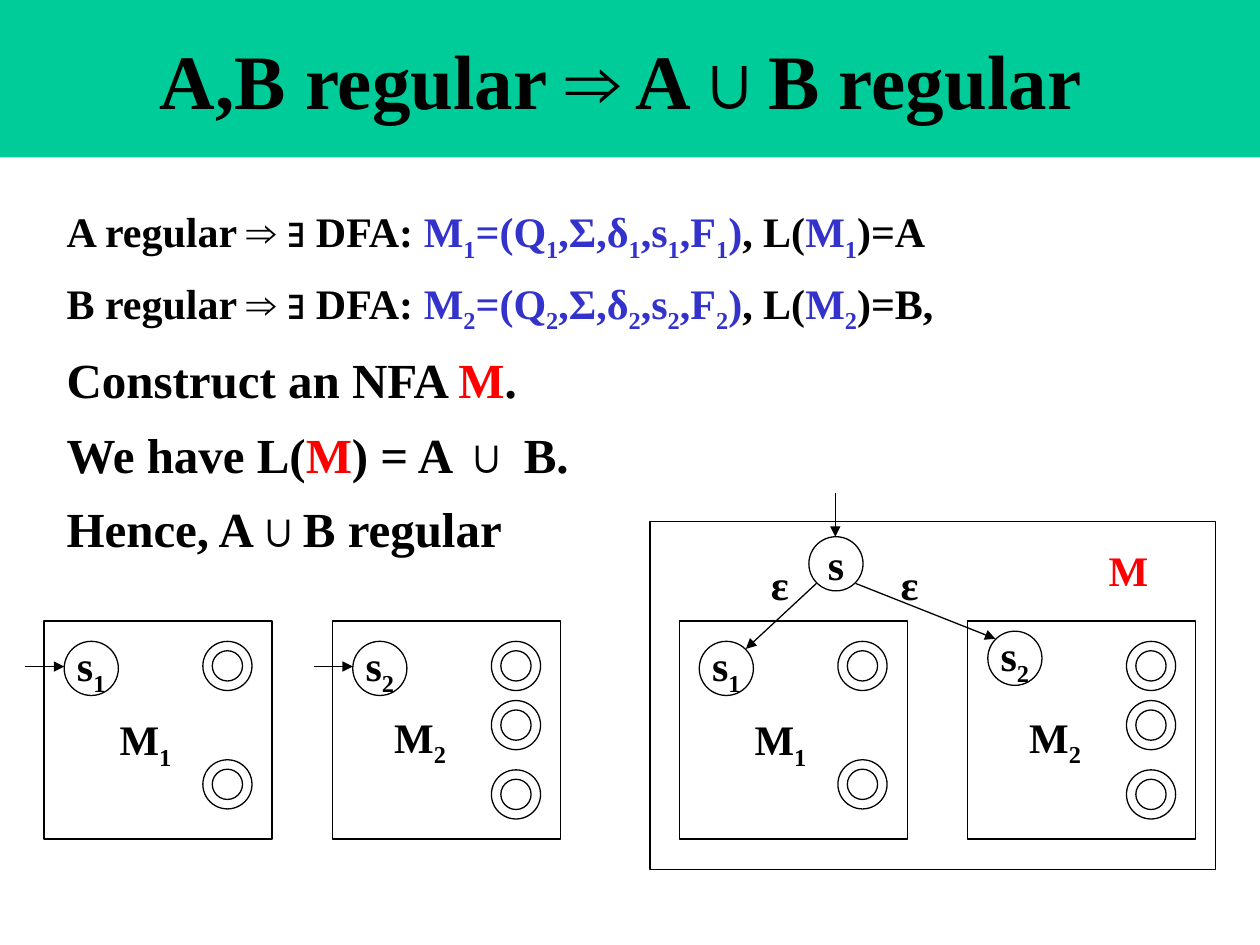
import lxml.etree
import pptx
import pptx.dml.color
import pptx.enum.shapes
import pptx.enum.text
import pptx.oxml.ns
import pptx.util

Inches = pptx.util.Inches
RGBColor = pptx.dml.color.RGBColor
Shape = pptx.enum.shapes.MSO_SHAPE
Align = pptx.enum.text.PP_ALIGN
Anchor = pptx.enum.text.MSO_ANCHOR
qn = pptx.oxml.ns.qn

BLACK = RGBColor(0x00, 0x00, 0x00)
GREEN = RGBColor(0x00, 0xCC, 0x99)
BLUE = RGBColor(0x33, 0x33, 0xCC)
RED = RGBColor(0xFF, 0x00, 0x00)

BOX_TOP, BOX_WIDTH, BOX_HEIGHT = 4.93, 1.81, 1.73
STATE_SIZE, RING_SIZE, CORE_SIZE = 0.43, 0.39, 0.24
STATE_TOP = 5.09
ACCEPT_TOPS = {1: (6.03, 5.09), 2: (5.56, 6.11, 5.09)}
LABEL_PLACES = {1: (0.5, 5.57), 2: (0.39, 5.55)}


class Diagram:
    """Holds the style, the slide and the shape collection being drawn into."""

    font_format = {"name": "Times New Roman", "bold": True}
    line_width = pptx.util.Pt(0.75)

    def __init__(self, slide):
        self.slide = slide
        self.shapes = slide.shapes

    def start_group(self):
        self.shapes = self.slide.shapes.add_group_shape().shapes

    def add_runs(self, paragraph, runs, size):
        """Add (text, colour) runs; the character after each _ is a subscript."""
        for text, color in runs:
            first, *rest = text.split("_")
            pieces = [(first, False)]
            for part in rest:
                pieces += [(part[0], True), (part[1:], False)]
            for piece, is_subscript in pieces:
                if not piece:
                    continue
                run = paragraph.add_run()
                run.text = piece
                values = {**self.font_format, "size": pptx.util.Pt(size)}
                for name, value in values.items():
                    setattr(run.font, name, value)
                run.font.color.rgb = color
                if is_subscript:
                    run.font._element.set("baseline", "-25000")

    def space(self, paragraph):
        """Set 110% lines with 10% of a line before and after."""
        paragraph.line_spacing = 1.1
        properties = paragraph._p.get_or_add_pPr()
        for tag in ("a:spcBef", "a:spcAft"):
            spacing = lxml.etree.SubElement(properties, qn(tag))
            lxml.etree.SubElement(spacing, qn("a:spcPct")).set("val", "10000")

    def text(self, left, top, width, height, lines, spaced=True):
        """Add a text box; each line is (size, runs)."""
        box = self.shapes.add_textbox(
            Inches(left), Inches(top), Inches(width), Inches(height))
        frame = box.text_frame
        frame.word_wrap = False
        for index, (size, runs) in enumerate(lines):
            paragraph = frame.add_paragraph() if index else frame.paragraphs[0]
            if spaced:
                self.space(paragraph)
            self.add_runs(paragraph, runs, size)

    def outline(self, kind, left, top, width, height):
        shape = self.shapes.add_shape(
            kind, Inches(left), Inches(top), Inches(width), Inches(height))
        shape.shadow.inherit = False
        shape.fill.background()
        shape.line.color.rgb = BLACK
        shape.line.width = self.line_width
        return shape

    def title(self, text):
        banner = self.outline(Shape.RECTANGLE, 0, 0, 10, 1.25)
        banner.fill.solid()
        banner.fill.fore_color.rgb = GREEN
        banner.line.fill.background()
        banner.text_frame.vertical_anchor = Anchor.MIDDLE
        paragraph = banner.text_frame.paragraphs[0]
        paragraph.alignment = Align.CENTER
        self.add_runs(paragraph, [(text, BLACK)], 44)

    def state(self, left, top, name):
        circle = self.outline(Shape.OVAL, left, top, STATE_SIZE, STATE_SIZE)
        frame_format = {
            "margin_left": 0, "margin_top": 0, "margin_right": 0,
            "margin_bottom": 0, "word_wrap": False,
            "vertical_anchor": Anchor.MIDDLE,
        }
        for attribute, value in frame_format.items():
            setattr(circle.text_frame, attribute, value)
        paragraph = circle.text_frame.paragraphs[0]
        paragraph.alignment = Align.CENTER
        self.add_runs(paragraph, [(name, BLACK)], 24)

    def accepting_state(self, left, top):
        inset = (RING_SIZE - CORE_SIZE) / 2
        self.outline(Shape.OVAL, left + inset, top + inset, CORE_SIZE, CORE_SIZE)
        self.outline(Shape.OVAL, left, top, RING_SIZE, RING_SIZE)

    def arrow(self, *ends):
        """Draw an arrow through start x, start y, end x, end y."""
        connector = self.shapes.add_connector(
            pptx.enum.shapes.MSO_CONNECTOR.STRAIGHT, *map(Inches, ends))
        connector.line.color.rgb = BLACK
        connector.line.width = self.line_width
        line = connector.line._get_or_add_ln()
        lxml.etree.SubElement(line, qn("a:tailEnd")).set("type", "triangle")
        lxml.etree.SubElement(connector._element.spPr, qn("a:effectLst"))

    def machine(self, left, number, state_top=STATE_TOP):
        self.outline(Shape.RECTANGLE, left, BOX_TOP, BOX_WIDTH, BOX_HEIGHT)
        for top in ACCEPT_TOPS[number]:
            self.accepting_state(left + 1.26, top)
        label_offset, label_top = LABEL_PLACES[number]
        self.text(left + label_offset, label_top, 0.68, 0.54,
                  [(24, [(f"M_{number}", BLACK)])])
        self.state(left + 0.16, state_top, f"s_{number}")


def regular_line(language, number, ending):
    machine = f"M_{number}=(Q_{number},Σ,δ_{number},s_{number},F_{number})"
    return (24, [(f"{language} regular ⇒ ∃ DFA: ", BLACK), (machine, BLUE),
                 (", L(", BLACK), (f"M_{number}", BLUE),
                 (f")={language}{ending}", BLACK)])


def main():
    presentation = pptx.Presentation()
    presentation.slide_width = Inches(10)
    presentation.slide_height = Inches(7.5)
    slide = presentation.slides.add_slide(presentation.slide_layouts[6])
    diagram = Diagram(slide)

    diagram.title("A,B regular ⇒ A∪B regular ")
    diagram.text(0.43, 1.54, 7.42, 2.9, [
        regular_line("A", 1, ""),
        regular_line("B", 2, ","),
        (28, [("Construct an NFA ", BLACK), ("M", RED), (".", BLACK)]),
        (28, [("We have L(", BLACK), ("M", RED), (") = A ∪ B.", BLACK)]),
        (28, [("Hence, A∪B regular", BLACK)]),
    ])

    for left, number in ((0.35, 1), (2.64, 2)):
        diagram.start_group()
        diagram.machine(left, number)
        diagram.arrow(left - 0.15, 5.29, left + 0.16, 5.29)

    diagram.start_group()
    diagram.outline(Shape.RECTANGLE, 5.16, 4.14, 4.49, 2.76)
    diagram.machine(5.39, 1)
    diagram.machine(7.68, 2, state_top=5.01)
    diagram.state(6.42, 4.26, "s")
    diagram.arrow(6.63, 3.91, 6.63, 4.26)
    diagram.arrow(6.79, 4.63, 7.9, 5.07)
    diagram.arrow(6.48, 4.63, 5.92, 5.15)
    for left in (6.02, 7.05):
        diagram.text(left, 4.38, 0.43, 0.5, [(24, [("ε", BLACK)])], spaced=False)
    diagram.text(8.7, 4.23, 0.57, 0.51, [(24, [("M", RED)])])

    presentation.save("out.pptx")


if __name__ == "__main__":
    main()
